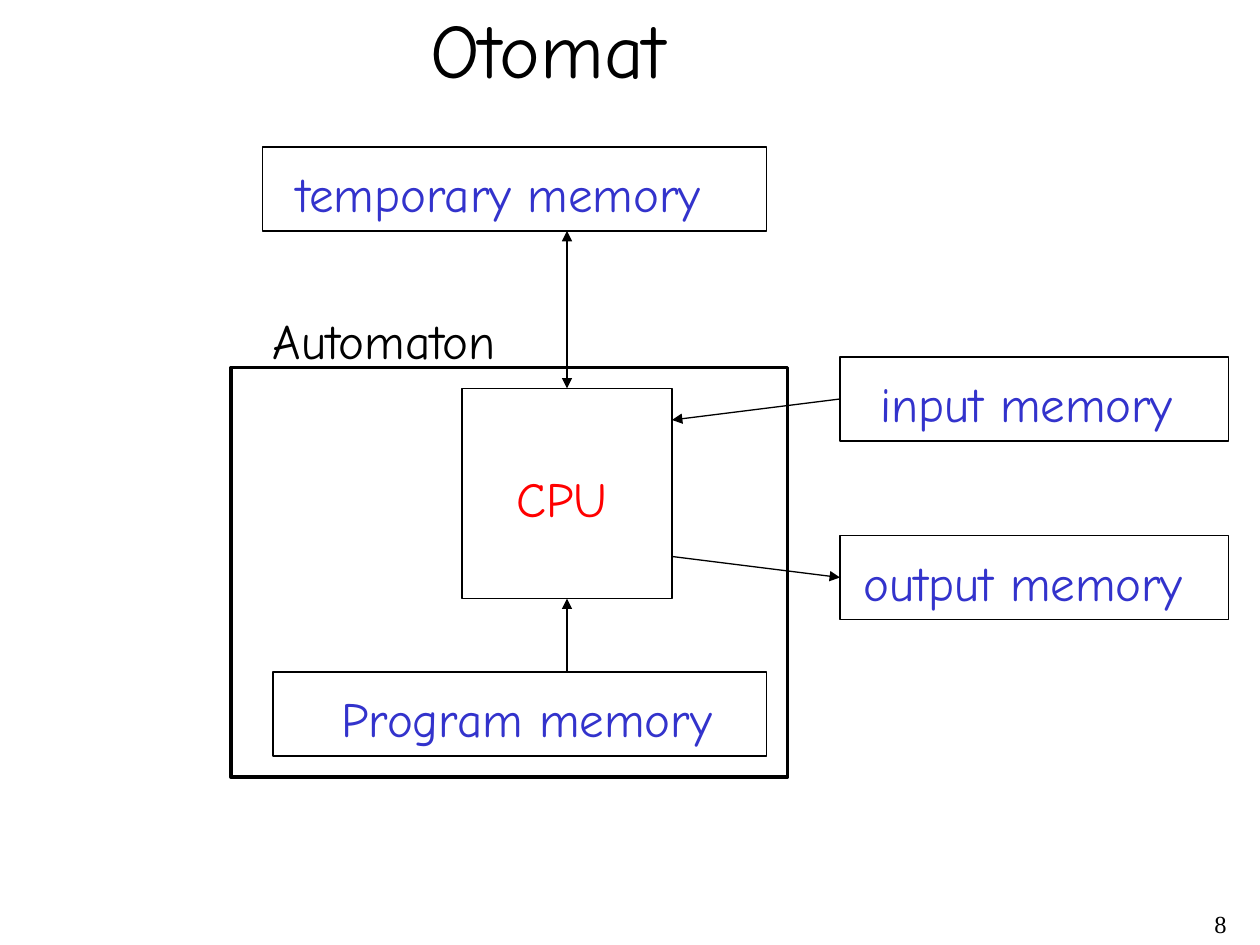
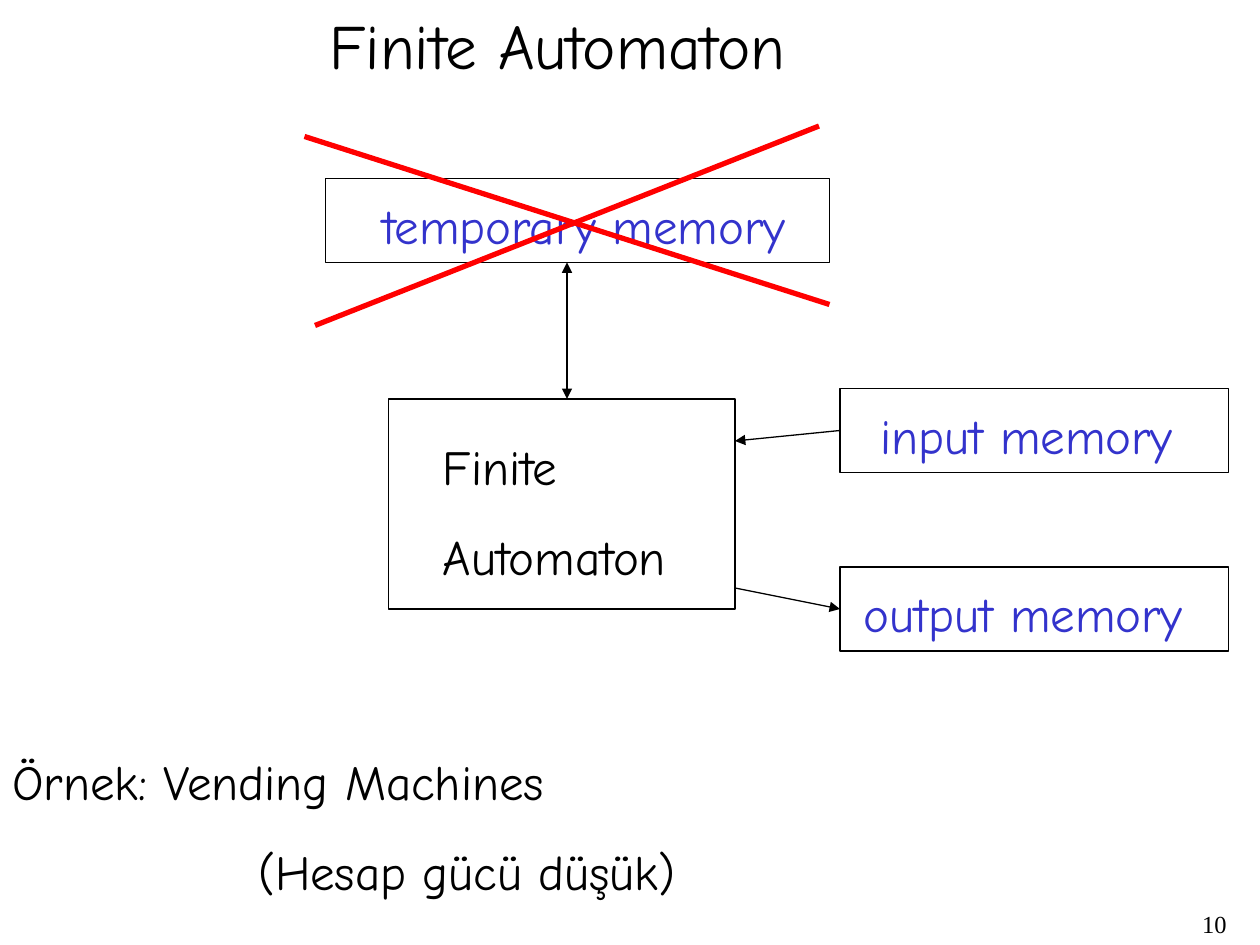
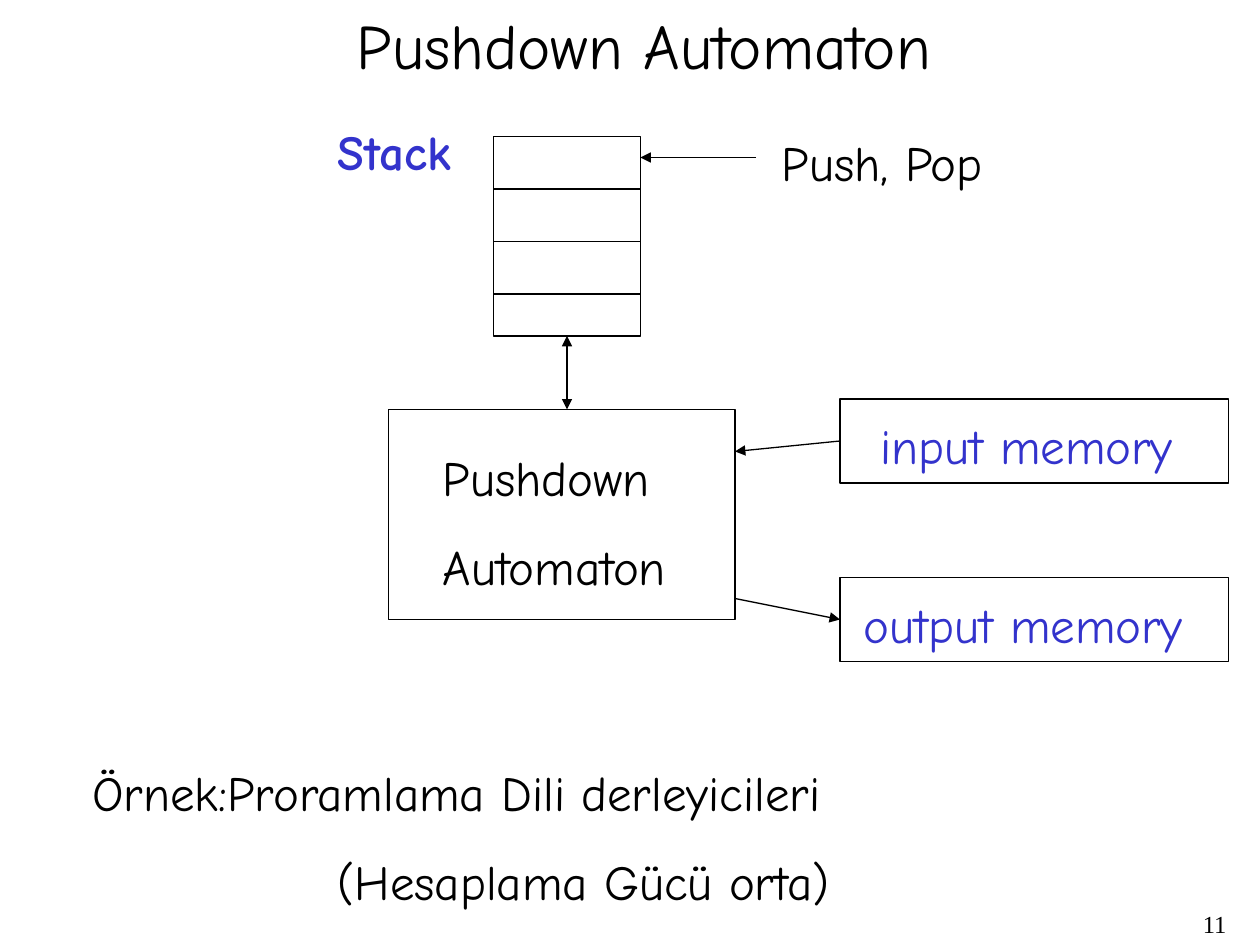
from lxml import etree
from pptx import Presentation
from pptx.dml.color import RGBColor
from pptx.enum.shapes import MSO_CONNECTOR, MSO_SHAPE
from pptx.enum.text import MSO_AUTO_SIZE, PP_ALIGN
from pptx.oxml.ns import qn
from pptx.util import Inches, Pt

RECTANGLE = MSO_SHAPE.RECTANGLE
STRAIGHT = MSO_CONNECTOR.STRAIGHT
FIT_SHAPE, NO_FIT = MSO_AUTO_SIZE.SHAPE_TO_FIT_TEXT, MSO_AUTO_SIZE.NONE
LEFT, RIGHT = PP_ALIGN.LEFT, PP_ALIGN.RIGHT

BLACK = RGBColor(0x00, 0x00, 0x00)
BLUE = RGBColor(0x33, 0x33, 0xCC)
RED = RGBColor(0xFF, 0x00, 0x00)

BODY_FONT = "Comic Neue"
NUMBER_FONT = "Times New Roman"
BODY_SIZE = 28
SPACE_SHARE = 0.625  # space before a paragraph, as a share of its text size

# Grid of 120 columns by 90 rows, both one twelfth of an inch
COLUMNS, ROWS = 120, 90
CELL = Inches(1) // 12
LINE_ROWS = 6.8
TWO_LINE_ROWS = 15.4
MEMORY_ROWS = 8
MEMORY_LEFT, MEMORY_COLUMNS = 80, 37
OUTPUT_OFFSET = 17  # rows from the input box down to the output box
AXIS = 54  # column of the vertical arrows
SIDE_TOP, SIDE_LEFT, SIDE_BOTTOM = 0, 1, 2


def grid(*values):
    return [round(value * CELL) for value in values]


def add_text(slide, text, area, size=BODY_SIZE, color=BLACK, font=BODY_FONT,
             bold=False, align=LEFT, wrap=False, spaced=True, indents=()):
    """Write one paragraph per line of text; indents are in columns."""
    frame = slide.shapes.add_textbox(*grid(*area)).text_frame
    frame.word_wrap = wrap
    frame.auto_size = NO_FIT if wrap else FIT_SHAPE
    frame.text = text
    for paragraph in frame.paragraphs:
        paragraph.alignment = align
        if spaced:
            paragraph.space_before = Pt(size * SPACE_SHARE)
        for run in paragraph.runs:
            run.font.name = font
            run.font.size = Pt(size)
            run.font.bold = bold
            run.font.color.rgb = color
    for paragraph, indent in zip(frame.paragraphs, indents):
        properties = paragraph._p.get_or_add_pPr()
        properties.set("marL", str(grid(indent)[0]))
        properties.set("indent", "0")


def add_box(slide, area, width=0.75):
    box = slide.shapes.add_shape(RECTANGLE, *grid(*area))
    box.shadow.inherit = False
    box.fill.background()
    box.line.color.rgb = BLACK
    box.line.width = Pt(width)
    return box


def add_line(slide, start, end, color=BLACK, width=0.75, arrows=(),
             begin_at=None, end_at=None):
    """Arrows names the ends with a head; begin_at and end_at are (box, side)."""
    line = slide.shapes.add_connector(STRAIGHT, *grid(*start, *end))
    if begin_at:
        line.begin_connect(*begin_at)
    if end_at:
        line.end_connect(*end_at)
    line.line.color.rgb = color
    line.line.width = Pt(width)
    outline = line.line._get_or_add_ln()
    for name in arrows:
        etree.SubElement(outline, qn(f"a:{name}"), type="triangle")
    etree.SubElement(line._element.spPr, qn("a:effectLst"))
    return line


BOTH_ENDS = ("headEnd", "tailEnd")
FORWARD = ("tailEnd",)


def add_memory(slide, name, left, top, columns, text_offset, text_columns):
    box = add_box(slide, (left, top, columns, MEMORY_ROWS))
    add_text(slide, name, (left + text_offset, top + 1, text_columns, LINE_ROWS),
             color=BLUE)
    return box


def add_input_output(slide, top, machine_right, input_row, output_row):
    """Input and output memory, with arrows to and from the machine."""
    input_box = add_memory(slide, "input memory", MEMORY_LEFT, top,
                           MEMORY_COLUMNS, 2.7, 30.4)
    output_top = top + OUTPUT_OFFSET
    output_box = add_memory(slide, "output memory", MEMORY_LEFT, output_top,
                            MEMORY_COLUMNS, 1.1, 33)
    middle = MEMORY_ROWS / 2
    add_line(slide, (MEMORY_LEFT, top + middle), (machine_right, input_row),
             arrows=FORWARD, begin_at=(input_box, SIDE_LEFT))
    add_line(slide, (machine_right, output_row),
             (MEMORY_LEFT, output_top + middle),
             arrows=FORWARD, end_at=(output_box, SIDE_LEFT))


def add_machine(slide, name, top):
    """Named automaton with its input and output memory."""
    left, columns = 37, 33
    add_box(slide, (left, top, columns, 20))
    add_text(slide, name, (left + 4, top + 3, 24.1, TWO_LINE_ROWS))
    add_input_output(slide, top - 1, left + columns, top + 4, top + 18)


def add_example(slide, text, left, top, columns):
    add_text(slide, text, (left, top, columns, TWO_LINE_ROWS), indents=(0, 23.4))


def start_slide(presentation, title, number, title_area, title_size=36):
    slide = presentation.slides.add_slide(presentation.slide_layouts[6])
    add_text(slide, number, (93, 86, 25, 4), size=14, font=NUMBER_FONT,
             align=RIGHT, wrap=True, spaced=False)
    add_text(slide, title, title_area, size=title_size)
    return slide


def build_automaton(presentation):
    slide = start_slide(presentation, "Otomat", "8", (39.8, -0.4, 25.3, 10), 44)

    # Processor and its memories
    cpu = add_box(slide, (44, 37, 20, 20))
    add_text(slide, "CPU", (48, 44, 11.4, LINE_ROWS), color=RED)
    add_memory(slide, "temporary memory", 25, 14, 48, 2.1, 41.2)
    add_memory(slide, "Program memory", 26, 64, 47, 5.3, 38.1)
    add_input_output(slide, 34, 64, 40, 53)
    add_line(slide, (AXIS, 22), (AXIS, 37), arrows=BOTH_ENDS,
             end_at=(cpu, SIDE_TOP))
    add_line(slide, (AXIS, 64), (AXIS, 57), arrows=FORWARD,
             end_at=(cpu, SIDE_BOTTOM))

    # Frame around the automaton
    add_box(slide, (22, 35, 53, 39), width=2)
    add_text(slide, "Automaton", (24.8, 29, 24.1, LINE_ROWS))


def build_finite_automaton(presentation):
    slide = start_slide(presentation, "Finite Automaton", "10",
                        (30.2, 0, 46.5, 8.4))
    add_memory(slide, "temporary memory", 31, 17, 48, 4.2, 41.2)
    add_line(slide, (AXIS, 25), (AXIS, 38), arrows=BOTH_ENDS)
    add_machine(slide, "Finite\nAutomaton", 38)

    # Cross over the temporary memory
    add_line(slide, (29, 13), (79, 29), color=RED, width=3)
    add_line(slide, (30, 31), (78, 12), color=RED, width=3)
    add_example(slide, "Örnek: Vending Machines\n(Hesap gücü düşük)", 0, 71, 65.7)


def build_pushdown_automaton(presentation):
    slide = start_slide(presentation, "Pushdown Automaton", "11",
                        (32.8, 0, 57.6, 8.4))
    add_machine(slide, "Pushdown\nAutomaton", 39)

    # Stack with its cells
    left, top, columns, rows = 47, 13, 14, 19
    right, bottom = left + columns, top + rows
    stack = add_box(slide, (left, top, columns, rows))
    for row in range(top + 5, bottom, 5):
        add_line(slide, (left, row), (right, row))
    add_text(slide, "Stack", (31, 11, 13.5, LINE_ROWS), color=BLUE, bold=True)
    add_line(slide, (AXIS, bottom), (AXIS, 39), arrows=BOTH_ENDS,
             begin_at=(stack, SIDE_BOTTOM))

    # Stack operations
    add_line(slide, (72, 15), (right, 15), arrows=FORWARD)
    add_text(slide, "Push, Pop", (73.3, 12, 21.9, LINE_ROWS))
    add_example(slide, "Örnek:Proramlama Dili derleyicileri\n(Hesaplama Gücü orta)",
                7.6, 72, 75.2)


def main():
    presentation = Presentation()
    presentation.slide_width, presentation.slide_height = grid(COLUMNS, ROWS)
    build_automaton(presentation)
    build_finite_automaton(presentation)
    build_pushdown_automaton(presentation)
    presentation.save("out.pptx")


if __name__ == "__main__":
    main()
